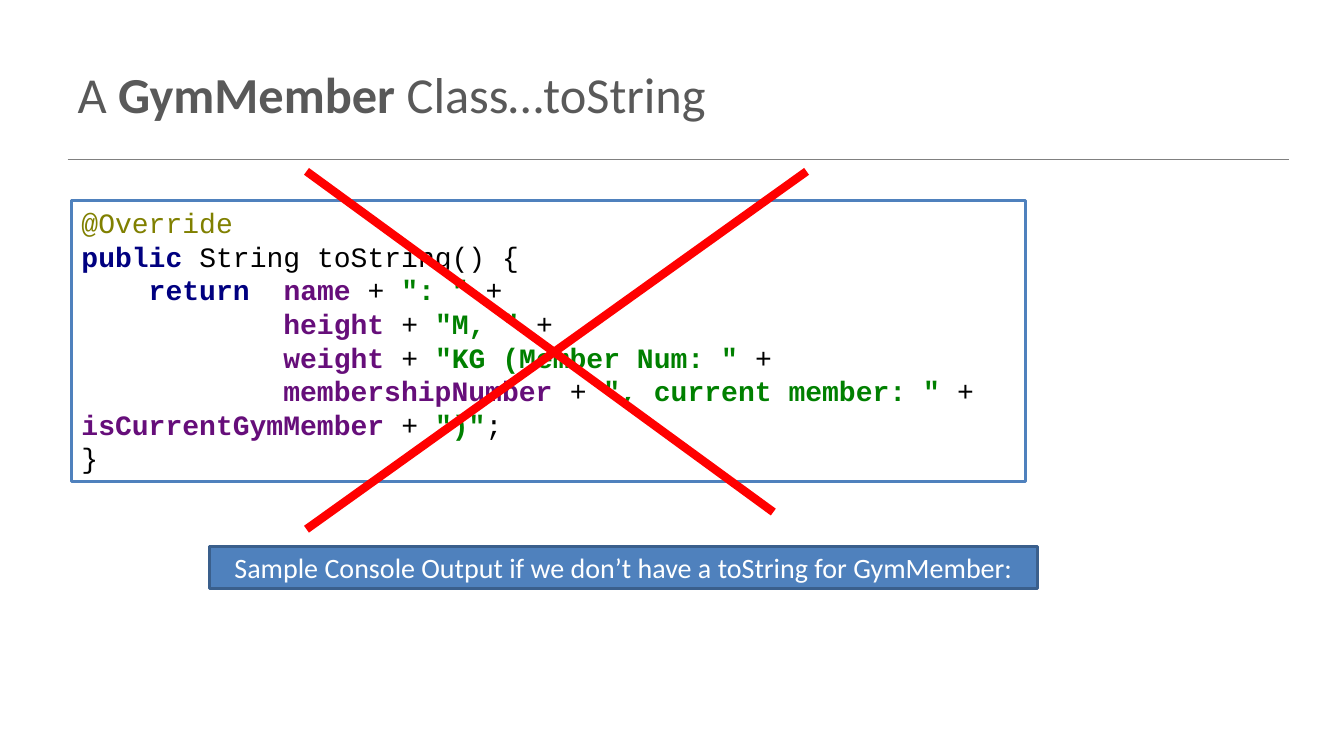
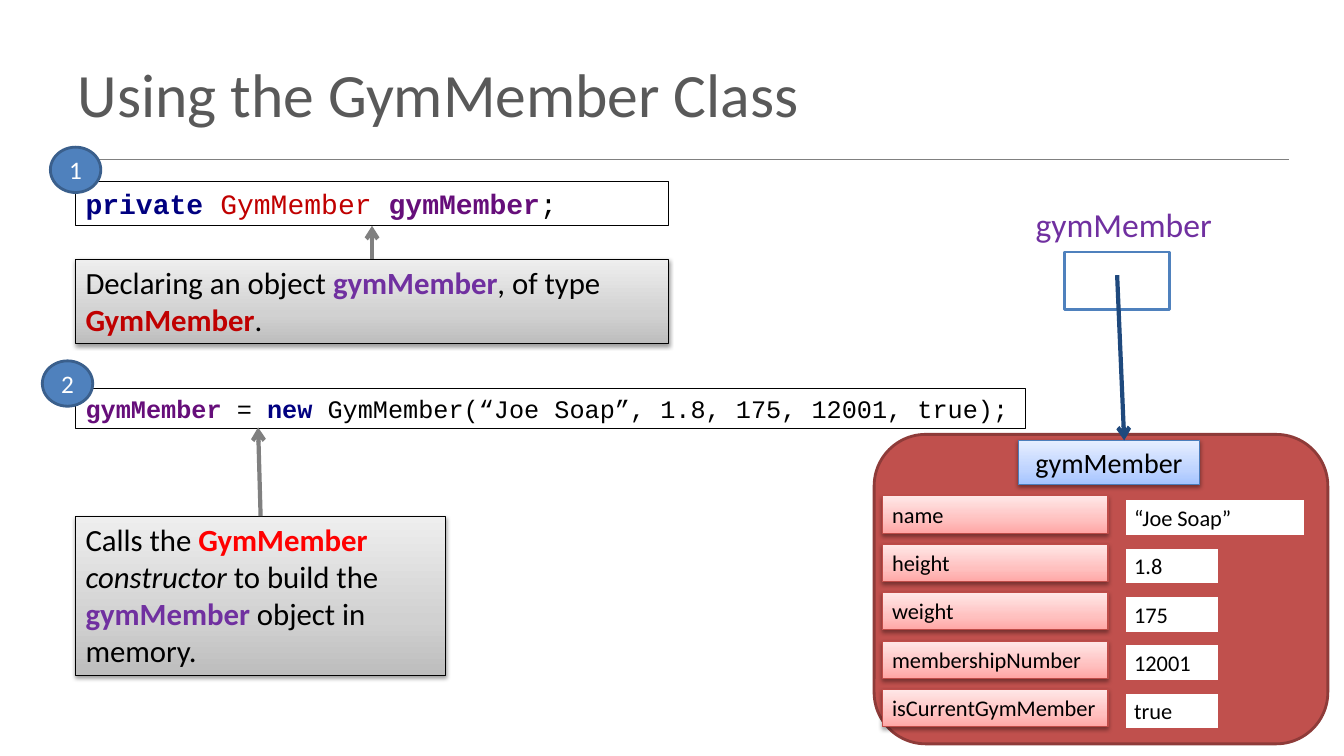
from copy import deepcopy

from lxml import etree
from pptx import Presentation
from pptx.dml.color import RGBColor
from pptx.enum import shapes, text
from pptx.oxml import ns
from pptx.util import Inches, Pt

SANS, MONO = "Calibri", "Courier New"
BLACK = RGBColor(0, 0, 0)
WHITE = RGBColor(255, 255, 255)
SLATE = RGBColor(0x59, 0x59, 0x59)
GRAY = RGBColor(0x80, 0x80, 0x80)
BLUE = RGBColor(0x4F, 0x81, 0xBD)
EDGE = RGBColor(0x3A, 0x5F, 0x8C)
DARK = RGBColor(0x1F, 0x49, 0x7D)
SKY = RGBColor(0x4B, 0x7E, 0xBC)
BRICK = RGBColor(0xC0, 0x50, 0x4D)
RUST = RGBColor(0x8E, 0x3B, 0x39)
ROSE = RGBColor(0xBF, 0x4C, 0x48)
RED = RGBColor(255, 0, 0)
WINE = RGBColor(0xC0, 0, 0)
GRAPE = RGBColor(0x70, 0x30, 0xA0)
OLIVE = RGBColor(0x80, 0x80, 0)
NAVY = RGBColor(0, 0, 0x80)
PLUM = RGBColor(0x66, 0x0E, 0x7A)
GREEN = RGBColor(0, 0x80, 0)
GRAYS = [RGBColor.from_string(c) for c in ("BDBDBD", "D1D1D1", "EEEEEE")]
PINKS = [RGBColor.from_string(c) for c in ("FFA6A5", "FFC0BF", "FFE7E7")]
BLUES = [RGBColor.from_string(c) for c in ("A4C4FF", "BFD4FF", "E6EEFF")]

KIND = shapes.MSO_SHAPE
LEFT, MID = text.PP_ALIGN.LEFT, text.PP_ALIGN.CENTER
TOP, HALF = text.MSO_ANCHOR.TOP, text.MSO_ANCHOR.MIDDLE


def write(frame, lines, size=20, color=BLACK, font=SANS, align=LEFT, anchor=TOP):
    """Fill a frame with lines, each a string or a list of (text, colour, style) runs."""
    frame.word_wrap = True
    frame.auto_size = text.MSO_AUTO_SIZE.NONE
    frame.vertical_anchor = anchor
    for i, line in enumerate([lines] if isinstance(lines, str) else lines):
        para = frame.add_paragraph() if i else frame.paragraphs[0]
        para.alignment = align
        for part in [(line,)] if isinstance(line, str) else line:
            words, tint, style = (*part, color, "")[:3] if len(part) < 3 else part
            run = para.add_run()
            run.text = words
            run.font.name, run.font.size = font, Pt(size)
            run.font.color.rgb = tint
            run.font.bold, run.font.italic = "b" in style, "i" in style


class Deck:
    """Hold the style and the current slide."""

    def __init__(self):
        """Start an empty wide deck."""
        self.file = Presentation()
        self.file.slide_width, self.file.slide_height = Inches(13.33), Inches(7.5)

    def page(self, lines, size):
        """Add a slide with its title and rule."""
        self.slide = self.file.slides.add_slide(self.file.slide_layouts[5])
        self.line((0.67, 1.58), (12.78, 1.58), GRAY, 1)
        title = self.slide.shapes.title
        title.left, title.top = Inches(0.67), Inches(0.3)
        title.width, title.height = Inches(12), Inches(1.25)
        write(title.text_frame, lines, size=size, color=SLATE, anchor=HALF)

    def box(self, x, y, w, h, lines=None, fill=WHITE, edge=BLACK, width=0.75,
            kind=KIND.RECTANGLE, **form):
        """Add a shape; a list of three colours gives a shaded, shadowed one."""
        item = self.slide.shapes.add_shape(kind, Inches(x), Inches(y), Inches(w), Inches(h))
        item.shadow.inherit = False
        item.line.color.rgb, item.line.width = edge, Pt(width)
        if isinstance(fill, list):
            self.shade(item, fill)
        else:
            item.fill.solid()
            item.fill.fore_color.rgb = fill
        if lines:
            write(item.text_frame, lines, **form)
        return item

    def shade(self, item, tints):
        """Give a shape an upward gradient and a soft shadow."""
        item.fill.gradient()
        item.fill.gradient_angle = 90
        first = item.element.spPr.find(".//" + ns.qn("a:gs"))
        first.addnext(deepcopy(first))
        for stop, tint, place in zip(item.fill.gradient_stops, tints, (0, 0.35, 1)):
            stop.color.rgb, stop.position = tint, place
        cast = etree.SubElement(
            item.element.spPr.find(ns.qn("a:effectLst")), ns.qn("a:outerShdw"),
            blurRad=str(Pt(3.1)), dist=str(Pt(1.6)), dir="5400000", rotWithShape="0")
        tone = etree.SubElement(cast, ns.qn("a:srgbClr"), val="000000")
        etree.SubElement(tone, ns.qn("a:alpha"), val="38000")

    def label(self, x, y, w, h, lines, **form):
        """Add plain text."""
        item = self.slide.shapes.add_textbox(Inches(x), Inches(y), Inches(w), Inches(h))
        write(item.text_frame, lines, **form)

    def badge(self, x, y, number):
        """Add a numbered circle."""
        self.box(x, y, 0.5, 0.45, number, fill=BLUE, edge=EDGE, width=2, kind=KIND.OVAL,
                 size=18, color=WHITE, align=MID, anchor=HALF)

    def line(self, start, end, color, width, arrow=False):
        """Add a straight line, with an arrowhead at its end if asked."""
        item = self.slide.shapes.add_connector(
            shapes.MSO_CONNECTOR.STRAIGHT, *(Inches(v) for v in (*start, *end)))
        item.line.color.rgb, item.line.width = color, Pt(width)
        if arrow:
            etree.SubElement(item.line._get_or_add_ln(), ns.qn("a:tailEnd"), type="arrow")
        etree.SubElement(item.element.spPr, ns.qn("a:effectLst"))
        return item


def string_page(deck):
    """Build the slide on toString."""
    deck.page([[("A ",), ("GymMember", SLATE, "b"), (" Class…toString",)]], 36)
    deck.box(2.08, 5.42, 8.21, 0.42,
             "Sample Console Output if we don’t have a toString for GymMember:",
             fill=BLUE, edge=EDGE, width=2, color=WHITE, align=MID, anchor=HALF)
    pad = " " * 12
    code = [
        [("@Override", OLIVE)],
        [("public ", NAVY, "b"), ("String toString() {",)],
        [("    return  ", NAVY, "b"), ("name ", PLUM, "b"), ("+ ",),
         ('": " ', GREEN, "b"), ("+",)],
        [(pad + "height ", PLUM, "b"), ("+ ",), ('"M, " ', GREEN, "b"), ("+",)],
        [(pad + "weight ", PLUM, "b"), ("+ ",),
         ('"KG (Member Num: " ', GREEN, "b"), ("+",)],
        [(pad + "membershipNumber ", PLUM, "b"), ("+ ",),
         ('", current member: " ', GREEN, "b"), ("+",)],
        [("isCurrentGymMember ", PLUM, "b"), ("+ ",), ('")"', GREEN, "b"), (";",)],
        "}",
    ]
    deck.box(0.71, 1.99, 9.46, 2.79, code, edge=BLUE, width=2, font=MONO)
    deck.line((3.04, 1.7), (7.67, 5.08), RED, 6)
    deck.line((8, 1.7), (3.04, 5.25), RED, 6)


def object_page(deck):
    """Build the slide on declaring and making an object."""
    deck.page("Using the GymMember Class", 44)
    code = deck.box(0.75, 1.8, 5.88, 0.44, [[
        ("private ", NAVY, "b"), ("GymMember ", WINE), ("gymMember", PLUM, "b"), (";",)]],
        font=MONO, anchor=HALF)
    note = deck.box(0.75, 2.57, 5.88, 0.84, [[
        ("Declaring an object ",), ("gymMember", GRAPE, "b"), (", of type ",),
        ("GymMember", WINE, "b"), (".",)]], fill=GRAYS, size=22)
    link = deck.line((3.69, 2.57), (3.69, 2.24), GRAY, 3, arrow=True)
    link.begin_connect(note, 0)
    link.end_connect(code, 2)
    deck.badge(0.5, 1.46, "1")

    deck.label(10.06, 1.97, 2.17, 0.5, "gymMember", size=24, color=GRAPE, align=MID)
    deck.box(10.56, 2.5, 1.04, 0.57, edge=BLUE, width=2)

    deck.box(0.75, 3.85, 9.42, 0.4, [[
        ("gymMember ", PLUM, "b"), ("= ",), ("new ", NAVY, "b"),
        ("GymMember(“Joe Soap”, 1.8, 175, 12001, true);",)]],
        size=18, font=MONO, anchor=HALF)
    note = deck.box(0.75, 5.12, 3.67, 1.58, [[
        ("Calls the ",), ("GymMember ", RED, "b"), ("constructor", BLACK, "i"),
        (" to build the ",), ("gymMember ", GRAPE, "b"), ("object in memory.",)]],
        fill=GRAYS, size=22)
    link = deck.line((2.58, 5.12), (2.56, 4.24), GRAY, 3, arrow=True)
    link.begin_connect(note, 0)
    deck.badge(0.42, 3.58, "2")

    deck.box(8.67, 4.31, 4.5, 3.07, fill=BRICK, edge=RUST, width=2,
             kind=KIND.ROUNDED_RECTANGLE)
    deck.box(10.1, 4.37, 1.8, 0.44, "gymMember", fill=BLUES, edge=SKY, align=MID)
    fields = [("name", "“Joe Soap”", 1.8), ("height", "1.8", 0.94), ("weight", "175", 0.94),
              ("membershipNumber", "12001", 0.94), ("isCurrentGymMember", "true", 0.94)]
    for i, (name, value, wide) in enumerate(fields):
        y = 4.92 + 0.48 * i
        deck.box(8.75, y, 2.24, 0.37, name, fill=PINKS, edge=ROSE, size=16)
        deck.box(11.15, y + 0.03, wide, 0.37, value, edge=BRICK, width=2, size=16)
    deck.line((11.08, 2.73), (11.15, 4.37), DARK, 3, arrow=True)


def main():
    """Build and save the deck."""
    deck = Deck()
    string_page(deck)
    object_page(deck)
    deck.file.save("out.pptx")


if __name__ == "__main__":
    main()
